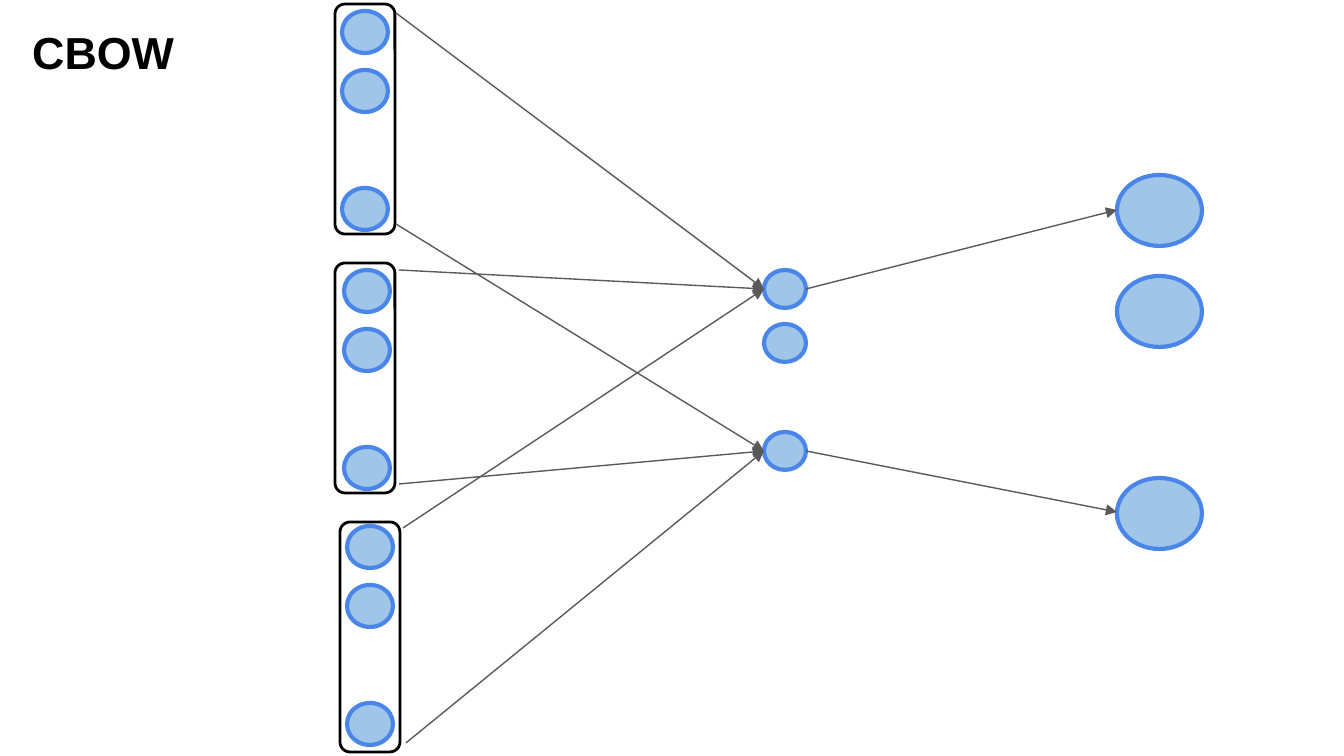
import pptx
import pptx.dml.color
import pptx.enum.shapes
import pptx.enum.text
import pptx.oxml
import pptx.oxml.ns
import pptx.util
from lxml import etree

RGBColor = pptx.dml.color.RGBColor
Shape = pptx.enum.shapes.MSO_SHAPE

NODE_FILL = RGBColor(0x9F, 0xC5, 0xE8)
NODE_LINE = RGBColor(0x4A, 0x86, 0xE8)
BLACK = RGBColor(0x00, 0x00, 0x00)
ARROW_GRAY = RGBColor(0x59, 0x59, 0x59)

EMU_PER_PX = 914400 / 134.4
# The gap in each column stands for the nodes left out
NODE_STEPS = (0, 1, 3)

# Per context word: frame corner, first node corner, upper and lower arrow starts
CONTEXT_WORDS = [
    ((335, 4), (342, 11), (396, 13), (396, 224)),
    ((335, 263), (344, 270), (399, 270), (399, 484)),
    ((340, 522), (347, 526), (403, 528), (406, 743)),
]


def px(value):
    return pptx.util.Emu(round(value * EMU_PER_PX))


def add_outlined(page, kind, left, top, width, height, color, weight):
    shape = page.shapes.add_shape(kind, px(left), px(top), px(width), px(height))
    shape.shadow.inherit = False
    shape.fill.background()
    shape.line.color.rgb = color
    shape.line.width = pptx.util.Pt(weight)
    return shape


def add_node_column(page, left, top, width, height, pitch):
    for step in NODE_STEPS:
        node = add_outlined(page, Shape.OVAL, left, top + step * pitch,
                            width, height, NODE_LINE, 2.25)
        node.fill.solid()
        node.fill.fore_color.rgb = NODE_FILL


def add_arrow(page, start, end):
    arrow = page.shapes.add_connector(
        pptx.enum.shapes.MSO_CONNECTOR.STRAIGHT,
        px(start[0]), px(start[1]), px(end[0]), px(end[1]))
    arrow.line.color.rgb = ARROW_GRAY
    arrow.line.width = pptx.util.Pt(0.75)
    tail = etree.SubElement(arrow.line._get_or_add_ln(), pptx.oxml.ns.qn("a:tailEnd"))
    tail.set("type", "triangle")
    etree.SubElement(arrow._element.spPr, pptx.oxml.ns.qn("a:effectLst"))


def add_title(page, text):
    box = page.shapes.add_textbox(px(19), px(11), px(180), px(71))
    frame = box.text_frame
    frame.word_wrap = True
    frame.vertical_anchor = pptx.enum.text.MSO_ANCHOR.TOP
    frame.margin_left = frame.margin_right = pptx.util.Inches(0.1)
    frame.margin_top = frame.margin_bottom = pptx.util.Inches(0.1)
    span = frame.paragraphs[0].add_run()
    span.text = text
    span.font.name = "Arial"
    span.font.size = pptx.util.Pt(24)
    span.font.bold = True
    span.font.color.rgb = BLACK


def main():
    deck = pptx.Presentation()
    deck.slide_width, deck.slide_height = px(1344), px(756)
    page = deck.slides.add_slide(deck.slide_layouts[6])

    add_title(page, "CBOW")

    # Input vectors, each in a rounded frame
    for frame_corner, node_corner, _, _ in CONTEXT_WORDS:
        add_node_column(page, *node_corner, 46, 42, 59)
        add_outlined(page, Shape.ROUNDED_RECTANGLE, *frame_corner, 60, 230, BLACK, 1.5)

    # Hidden and output layers
    add_node_column(page, 764, 270, 42, 38, 54)
    add_node_column(page, 1117, 175, 85, 71, 101)

    # Arrows into and out of the first and last hidden nodes
    for _, _, upper_start, lower_start in CONTEXT_WORDS:
        add_arrow(page, upper_start, (764, 289))
        add_arrow(page, lower_start, (764, 451))
    add_arrow(page, (806, 289), (1117, 210))
    add_arrow(page, (806, 451), (1117, 512))

    deck.save("out.pptx")


if __name__ == "__main__":
    main()
